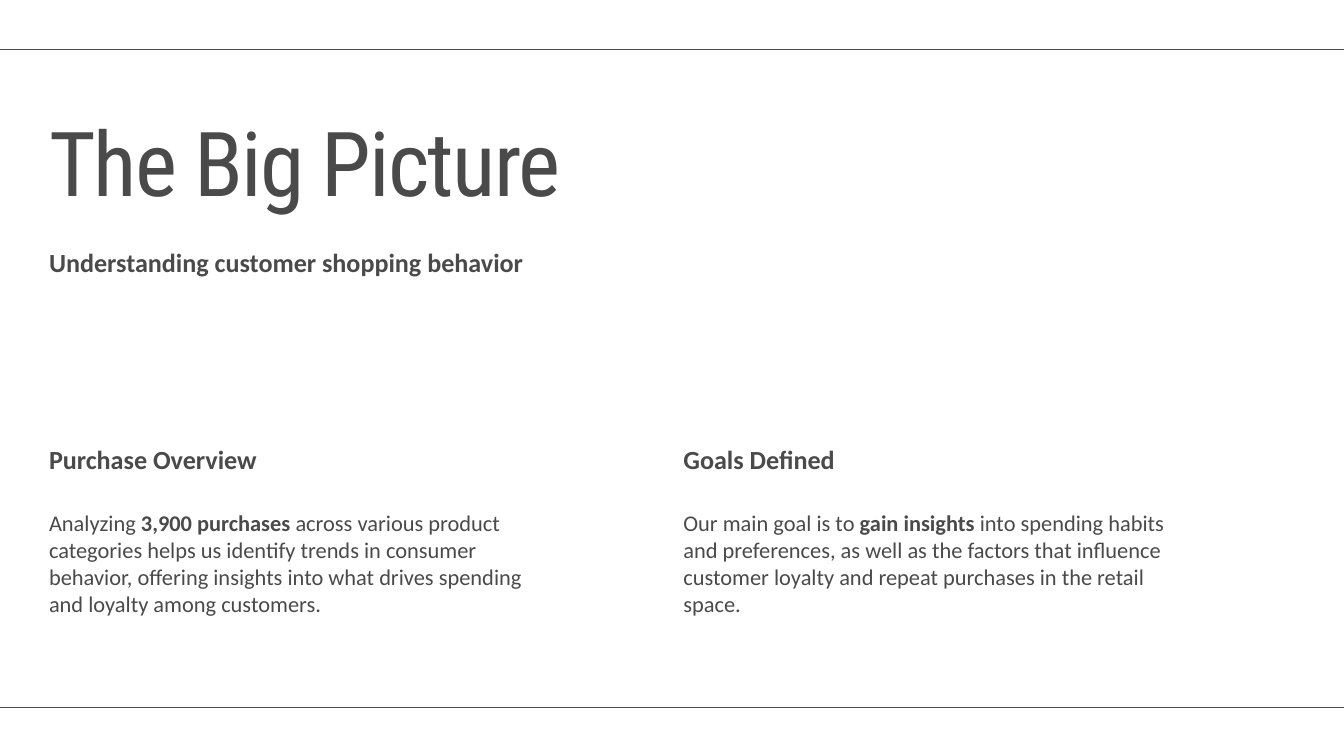
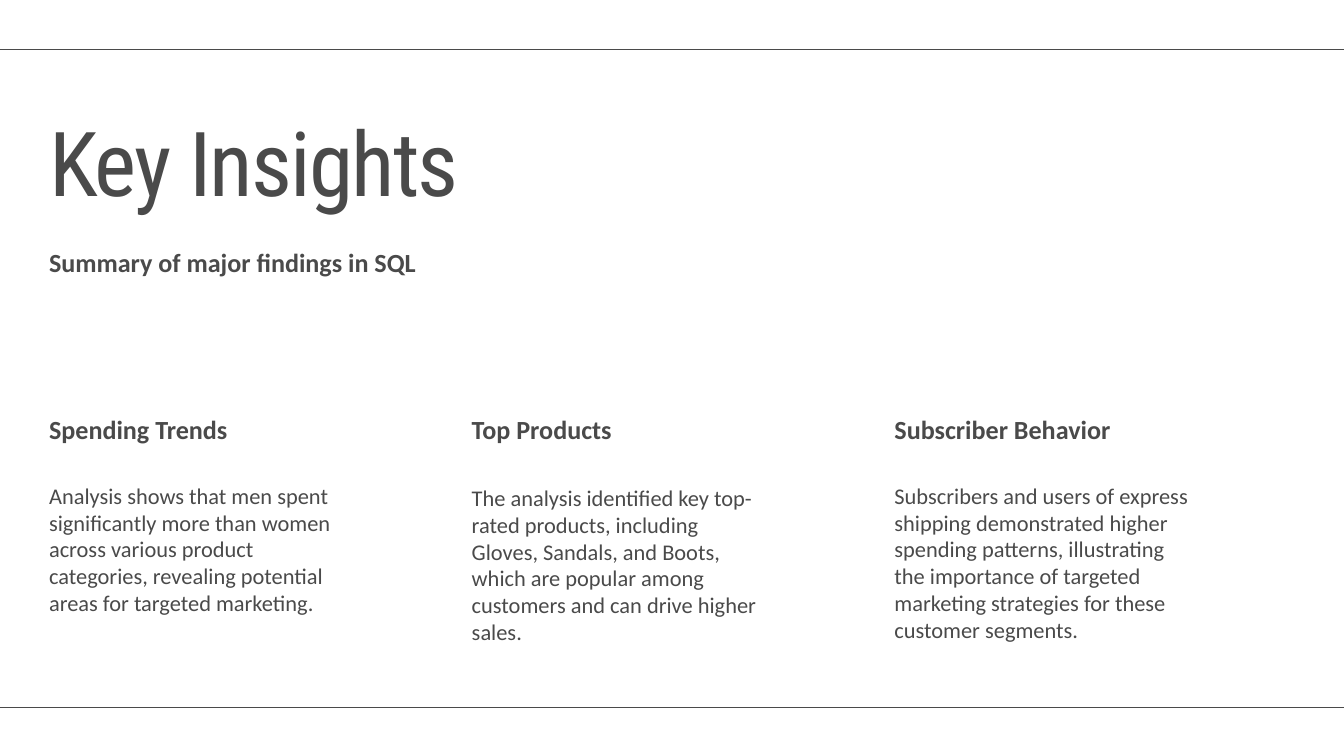
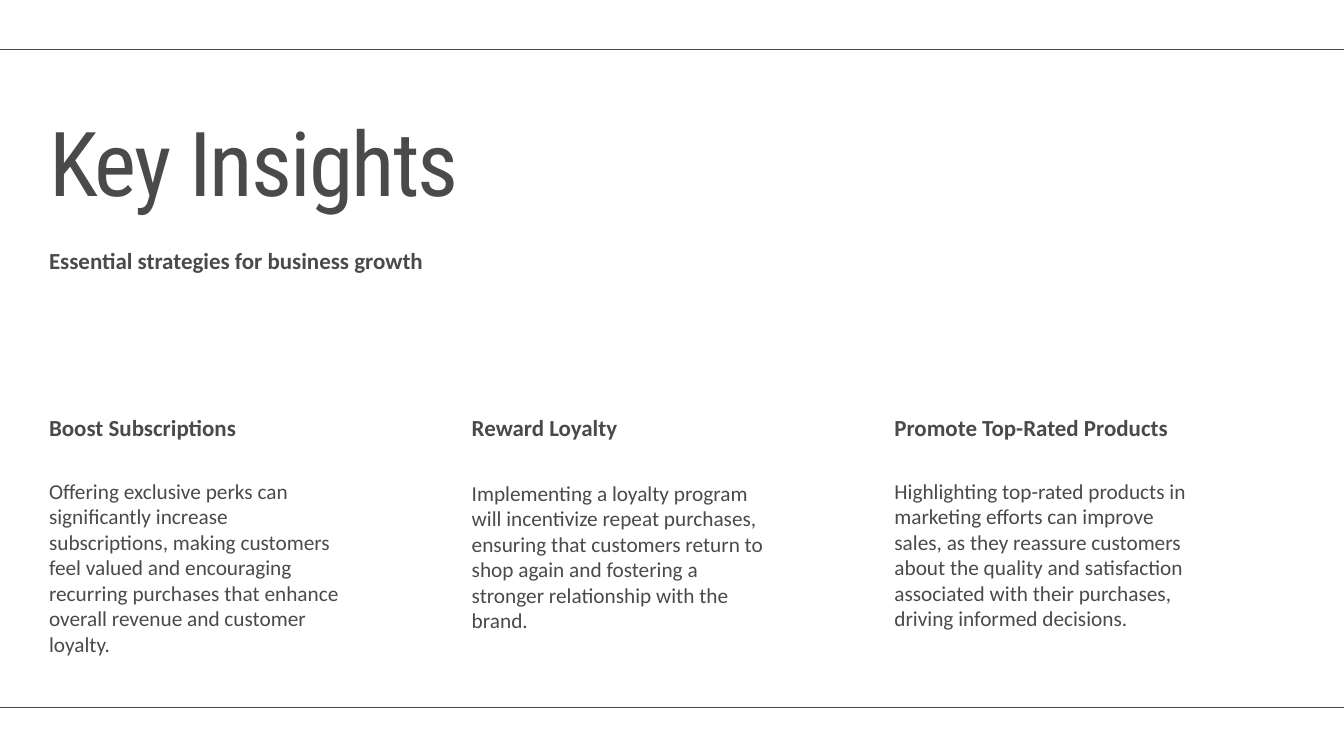
import pptx
import pptx.dml.color
import pptx.enum.shapes
import pptx.enum.text
import pptx.oxml.ns
import pptx.util
from lxml import etree

Pt = pptx.util.Pt

COLORS = {"ink": "4A4A4A", "paper": "FFFFFF"}
TITLE_FONT = "Roboto Condensed"
TEXT_FONT = "Calibri"
SLIDE_WIDTH, SLIDE_HEIGHT = 1440, 810
MARGIN = 52.56
HEADER_WIDTH = SLIDE_WIDTH - 2 * MARGIN
TOP_RULE, BOTTOM_RULE = 53.28, 757.8
LEADING = 1.2

SLIDES = [
    {
        "title": "The Big Picture",
        "subtitle": "Understanding customer shopping behavior",
        "heading_size": 28, "body_size": 24,
        "column_width": 542.16, "column_pitch": 679.68,
        "heading_top": 475.2,
        "columns": [
            ("Purchase Overview", 545.76, 113.76,
             "Analyzing **3,900 purchases** across various product categories helps us "
             "identify trends in consumer behavior, offering insights into what drives "
             "spending and loyalty among customers."),
            ("Goals Defined", 545.76, 113.76,
             "Our main goal is to **gain insights** into spending habits and preferences, "
             "as well as the factors that influence customer loyalty and repeat purchases "
             "in the retail space."),
        ],
    },
    {
        "title": "Key Insights",
        "subtitle": "Summary of major findings in SQL",
        "heading_size": 28, "body_size": 24,
        "column_width": 316.08, "column_pitch": 452.88,
        "heading_top": 442.8,
        "columns": [
            ("Spending Trends", 516.24, 171.36,
             "Analysis shows that men spent significantly more than women across various "
             "product categories, revealing potential areas for targeted marketing."),
            ("Top Products", 518.4, 171.36,
             "The analysis identified key top-rated products, including Gloves, Sandals, "
             "and Boots, which are popular among customers and can drive higher sales."),
            ("Subscriber Behavior", 516.24, 199.44,
             "Subscribers and users of express shipping demonstrated higher spending "
             "patterns, illustrating the importance of targeted marketing strategies for "
             "these customer segments."),
        ],
    },
    {
        "title": "Key Insights",
        "subtitle": "Essential strategies for business growth",
        "heading_size": 24.6, "body_size": 22.8,
        "column_width": 316.08, "column_pitch": 452.88,
        "heading_top": 442.8,
        "columns": [
            ("Boost Subscriptions", 511.92, 189.36,
             "Offering exclusive perks can significantly increase subscriptions, making "
             "customers feel valued and encouraging recurring purchases that enhance "
             "overall revenue and customer loyalty."),
            ("Reward Loyalty", 514.08, 162.72,
             "Implementing a loyalty program will incentivize repeat purchases, ensuring "
             "that customers return to shop again and fostering a stronger relationship "
             "with the brand."),
            ("Promote Top-Rated Products", 511.92, 189.36,
             "Highlighting top-rated products in marketing efforts can improve sales, as "
             "they reassure customers about the quality and satisfaction associated with "
             "their purchases, driving informed decisions."),
        ],
    },
]


def rgb(name):
    """Return the palette colour with this name."""
    return pptx.dml.color.RGBColor.from_string(COLORS[name])


def add_text(shapes, text, left, top, width, height, *, size, font=TEXT_FONT,
             bold=False, leading=LEADING, tracking=None):
    """Add a text box in which ** pairs switch bold on and off."""
    box = shapes.add_textbox(Pt(left), Pt(top), Pt(width), Pt(height))
    frame = box.text_frame
    frame.word_wrap = True
    frame.auto_size = pptx.enum.text.MSO_AUTO_SIZE.SHAPE_TO_FIT_TEXT
    frame.margin_left = frame.margin_top = frame.margin_right = frame.margin_bottom = 0
    paragraph = frame.paragraphs[0]
    paragraph.line_spacing = Pt(size * leading)
    for position, part in enumerate(text.split("**")):
        run = paragraph.add_run()
        run.text = part
        run.font.size = Pt(size)
        run.font.name = font
        run.font.bold = bold or position % 2 == 1
        run.font.color.rgb = rgb("ink")
        if tracking is not None:
            run._r.get_or_add_rPr().set("spc", str(round(tracking * 100)))


def add_rule(slide, top):
    """Draw a thin line across the whole slide."""
    rule = slide.shapes.add_connector(
        pptx.enum.shapes.MSO_CONNECTOR.STRAIGHT, Pt(0), Pt(top), Pt(SLIDE_WIDTH), Pt(top))
    rule.line.color.rgb = rgb("ink")
    rule.line.width = Pt(1.5)
    etree.SubElement(rule._element.spPr, pptx.oxml.ns.qn("a:effectLst"))


def add_column(slide, content, index):
    """Add one heading with its body text as a group."""
    heading, body_top, body_height, body = content["columns"][index]
    left = MARGIN + index * content["column_pitch"]
    width, heading_size = content["column_width"], content["heading_size"]
    column = slide.shapes.add_group_shape().shapes
    add_text(column, heading, left, content["heading_top"], width,
             heading_size * LEADING, size=heading_size, bold=True)
    add_text(column, body, left, body_top, width, body_height, size=content["body_size"])


def add_header(slide, content):
    """Add the title and subtitle as a group."""
    header = slide.shapes.add_group_shape().shapes
    size = content["heading_size"]
    add_text(header, content["title"], MARGIN, 133.92, HEADER_WIDTH, 104.4,
             size=96, font=TITLE_FONT, leading=1, tracking=-1.9)
    add_text(header, content["subtitle"], MARGIN, 264.24, HEADER_WIDTH, size * LEADING,
             size=size, bold=True)


def add_content_slide(deck, content):
    """Build one slide from its columns, header and rules."""
    slide = deck.slides.add_slide(deck.slide_layouts[6])
    slide.background.fill.solid()
    slide.background.fill.fore_color.rgb = rgb("paper")
    for index in range(len(content["columns"])):
        add_column(slide, content, index)
    add_header(slide, content)
    for top in (TOP_RULE, BOTTOM_RULE):
        add_rule(slide, top)


def main():
    """Build and save the deck."""
    deck = pptx.Presentation()
    deck.slide_width, deck.slide_height = Pt(SLIDE_WIDTH), Pt(SLIDE_HEIGHT)
    for content in SLIDES:
        add_content_slide(deck, content)
    deck.save("out.pptx")


if __name__ == "__main__":
    main()
